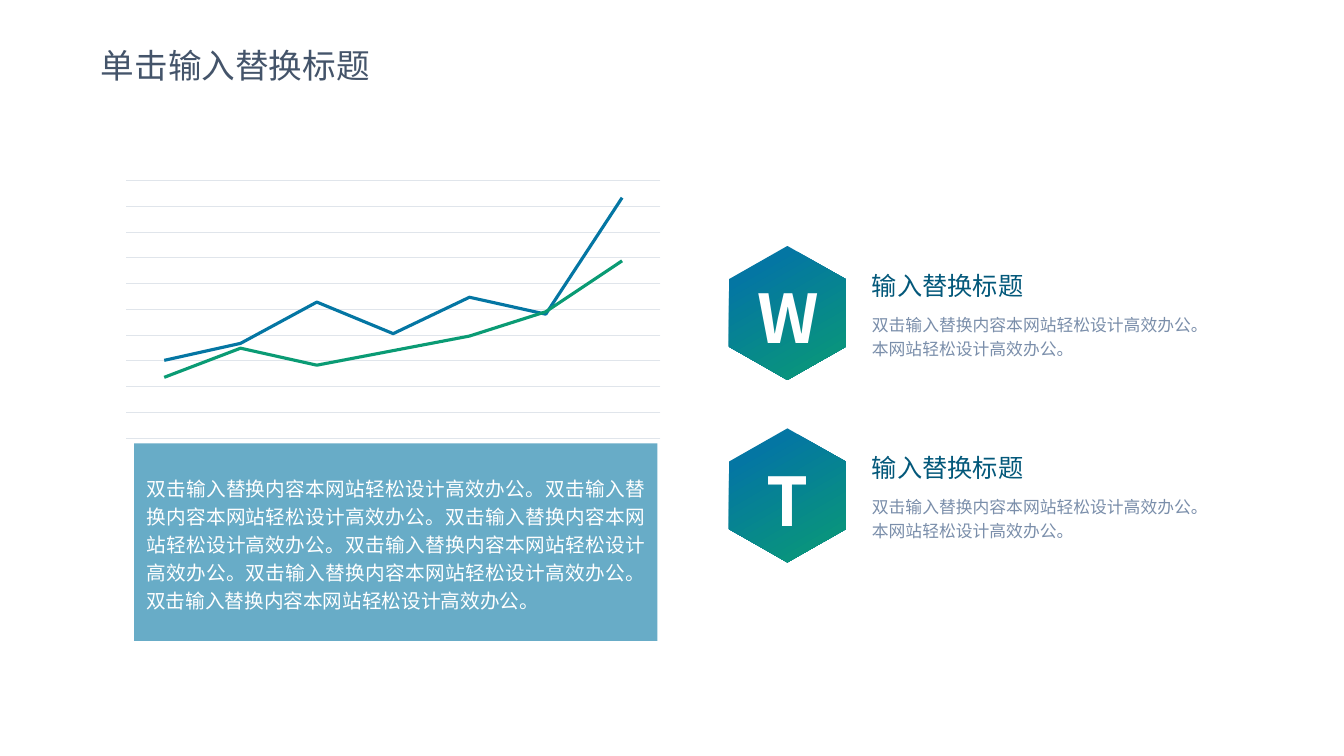
from lxml import etree
from pptx import Presentation
from pptx import util as u
from pptx.chart.data import CategoryChartData
from pptx.dml.color import RGBColor
from pptx.enum import chart as ch, shapes, text
from pptx.oxml import parse_xml
from pptx.oxml.ns import nsdecls, qn

FONT = "Noto Sans CJK SC"
BLUE = RGBColor(0x04, 0x76, 0xA3)
GREEN = RGBColor(0x0A, 0x9B, 0x74)
SLATE = RGBColor(0x44, 0x54, 0x6A)
NAVY = RGBColor(0x03, 0x58, 0x7A)
MUTED = RGBColor(0x7A, 0x8E, 0xAA)
GRID = RGBColor(0xE0, 0xE5, 0xEB)
WHITE = RGBColor(0xFF, 0xFF, 0xFF)

SENTENCE = "双击输入替换内容本网站轻松设计高效办公。"
DETAIL = SENTENCE + "本网站轻松设计高效办公。"
SERIES = [
    ("Series 1", (33, 40, 57, 44, 59, 52, 100), BLUE),
    ("Series 2", (26, 38, 31, 37, 43, 53, 74), GREEN),
]


def inches(*lengths):
    """Turn plain numbers into lengths."""
    return [u.Inches(length) for length in lengths]


def write(shape, words, size, color, align=text.PP_ALIGN.LEFT, spacing=None,
          bold=False, wrap=True, anchor=text.MSO_ANCHOR.TOP, insets=(0.1, 0.05)):
    """Put one formatted paragraph into a shape."""
    frame = shape.text_frame
    frame.word_wrap = wrap
    frame.vertical_anchor = anchor
    frame.margin_left = frame.margin_right = u.Inches(insets[0])
    frame.margin_top = frame.margin_bottom = u.Inches(insets[1])
    para = frame.paragraphs[0]
    para.text = words
    para.alignment = align
    para.line_spacing = spacing
    font = para.font
    font.size, font.bold, font.name = u.Pt(size), bold, FONT
    font.color.rgb = color
    etree.SubElement(font._element, qn("a:ea"), typeface=FONT)


def add_title(page, words):
    """Place and format the slide title."""
    title = page.shapes.title
    title.left, title.top, title.width, title.height = inches(0.9, 0.45, 4.24, 0.4)
    write(title, words, 24, SLATE, wrap=False,
          anchor=text.MSO_ANCHOR.MIDDLE, insets=(0.1, 0))


def add_line_chart(page):
    """Draw the two-series line chart with only its gridlines."""
    data = CategoryChartData()
    data.categories = [str(number) for number in range(1, 8)]
    for name, values, _ in SERIES:
        data.add_series(name, values)
    chart = page.shapes.add_chart(
        ch.XL_CHART_TYPE.LINE, *inches(1.14, 1.74, 5.52, 2.66), data).chart
    chart.has_legend = chart.has_title = False
    chart.font.name, chart.font.size = FONT, u.Pt(10)
    chart.font.color.rgb = SLATE
    chart.plots[0].vary_by_categories = False
    chart.category_axis.visible = False
    axis = chart.value_axis
    axis.visible = False
    axis.minimum_scale, axis.maximum_scale, axis.major_unit = 1, 107, 10.6
    axis.has_major_gridlines = True
    axis.major_gridlines.format.line.color.rgb = GRID
    axis.major_gridlines.format.line.width = u.Pt(0.75)
    for series, (_, _, color) in zip(chart.plots[0].series, SERIES):
        series.smooth = False
        series.marker.style = ch.XL_MARKER_STYLE.NONE
        series.format.line.color.rgb = color
        series.format.line.width = u.Pt(2.25)
    set_plot_area(chart, x=0.02, y=0.02, w=0.96, h=0.96)


def set_plot_area(chart, **fractions):
    """Fix the inner plot area as fractions of the chart."""
    area = chart._chartSpace.find(".//" + qn("c:plotArea"))
    for layout in area.findall(qn("c:layout")):
        area.remove(layout)
    sizes = "".join(f'<c:{key} val="{value}"/>' for key, value in fractions.items())
    area.insert(0, parse_xml(
        f'<c:layout {nsdecls("c")}><c:manualLayout><c:layoutTarget val="inner"/>'
        f'<c:xMode val="edge"/><c:yMode val="edge"/>{sizes}'
        '</c:manualLayout></c:layout>'))


def add_summary(page):
    """Add the translucent panel below the chart."""
    panel = page.shapes.add_shape(
        shapes.MSO_SHAPE.RECTANGLE, *inches(1.33, 4.4, 5.19, 1.96))
    panel.shadow.inherit = False
    panel.line.fill.background()
    panel.fill.solid()
    panel.fill.fore_color.rgb = BLUE
    color = panel._element.spPr.find(".//" + qn("a:srgbClr"))
    etree.SubElement(color, qn("a:alpha"), val="60000")
    write(panel, SENTENCE * 6, 14, WHITE, text.PP_ALIGN.JUSTIFY, 1.2,
          anchor=text.MSO_ANCHOR.MIDDLE, insets=(0.12, 0))


def add_badge(page, letter, top):
    """Add a gradient hexagon with a letter."""
    group = page.shapes.add_group_shape()
    left, middle, right = 7.23, 7.81, 8.39
    outline = [(middle, top), (right, top + 0.33), (right, top + 1),
               (middle, top + 1.33), (left, top + 1), (left, top + 0.33)]
    start, *rest = [inches(*point) for point in outline]
    builder = group.shapes.build_freeform(*start)
    builder.add_line_segments(rest, close=True)
    hexagon = builder.convert_to_shape()
    hexagon.shadow.inherit = False
    hexagon.line.fill.background()
    hexagon.fill.gradient()
    hexagon.fill.gradient_angle = 300
    stops = hexagon.fill.gradient_stops
    for stop, position, color in zip(stops, (0.19, 1), (BLUE, GREEN)):
        stop.position = position
        stop.color.rgb = color
    disc = group.shapes.add_shape(
        shapes.MSO_SHAPE.OVAL, *inches(7.3, top + 0.19, 1.03, 1.03))
    disc.shadow.inherit = False
    disc.fill.background()
    disc.line.fill.background()
    write(disc, letter, 48, WHITE, text.PP_ALIGN.CENTER, bold=True,
          wrap=False, anchor=text.MSO_ANCHOR.MIDDLE)


def add_item(page, letter, top):
    """Add a badge with its heading and detail."""
    add_badge(page, letter, top)
    heading = page.shapes.add_textbox(*inches(8.55, top + 0.19, 1.72, 0.4))
    write(heading, "输入替换标题", 18, NAVY, wrap=False)
    detail = page.shapes.add_textbox(*inches(8.55, top + 0.59, 3.64, 0.57))
    write(detail, DETAIL, 12, MUTED, spacing=1.2)


def main():
    """Build and save the slide."""
    deck = Presentation()
    deck.slide_width, deck.slide_height = inches(13.33, 7.5)
    page = deck.slides.add_slide(deck.slide_layouts.get_by_name("Title Only"))
    add_title(page, "单击输入替换标题")
    add_line_chart(page)
    add_summary(page)
    for row, letter in enumerate("WT"):
        add_item(page, letter, 2.44 + row * 1.81)
    deck.save("out.pptx")


if __name__ == "__main__":
    main()
